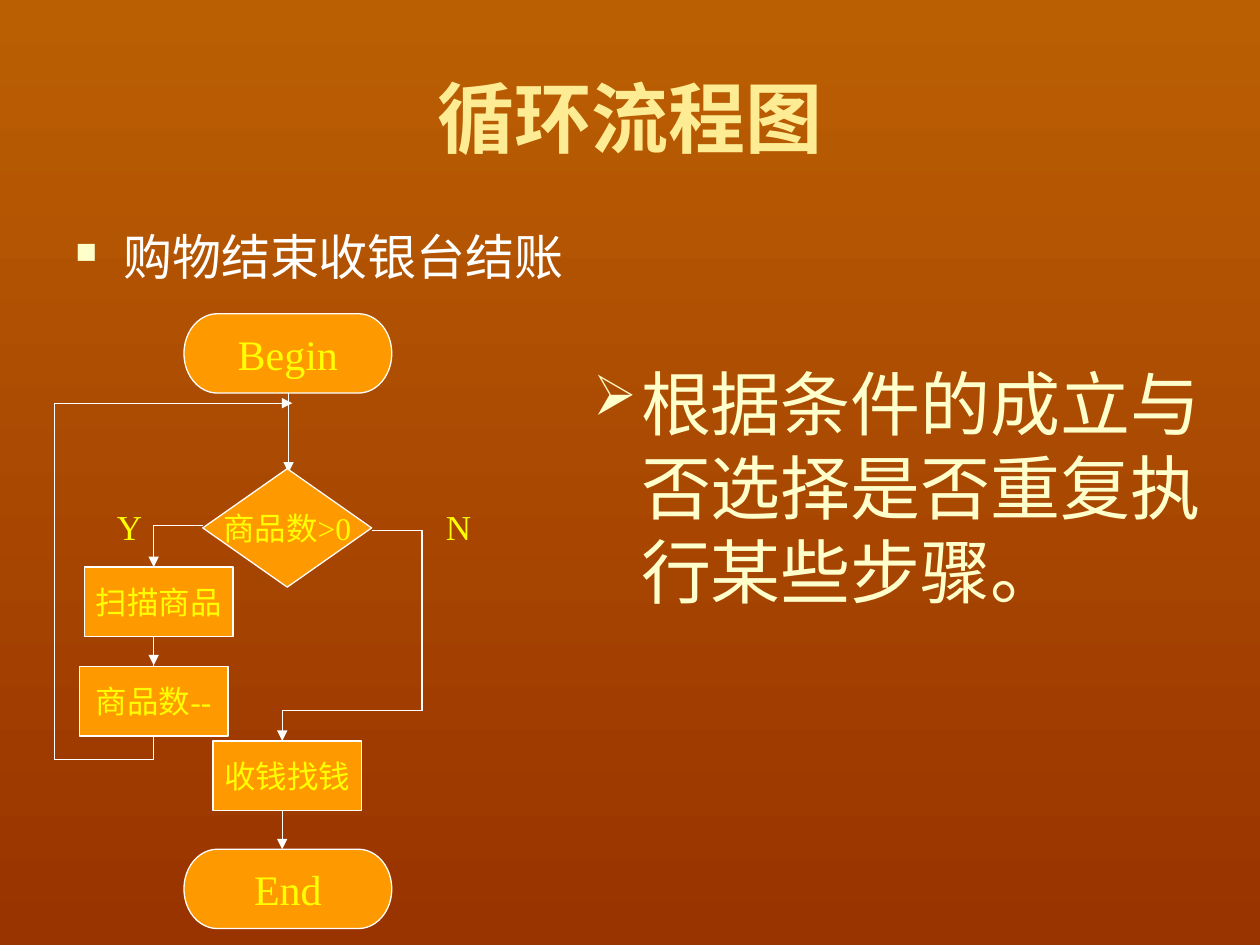
from lxml.etree import SubElement
from pptx import Presentation
from pptx.dml.color import RGBColor
from pptx.enum.shapes import MSO_CONNECTOR, MSO_SHAPE as Shape
from pptx.enum.text import MSO_ANCHOR as Anchor, PP_ALIGN as Align
from pptx.oxml.ns import qn
from pptx.util import Inches, Pt

COLORS = {
    "bg_top": "BB5F03",
    "bg_bottom": "993300",
    "title": "FEEC94",
    "white": "FFFFFF",
    "cream": "FFFFCC",
    "box": "FF9900",
    "label": "FFFF00",
}
SERIF = "Times New Roman"

# Shared positions of the flowchart, in inches
BRANCH_X, EXIT_X, LOOP_X = 1.22, 3.35, 0.43
BEGIN_X, END_X = 2.29, 2.24
STEP_SIZE = (1.18, 0.55)
TERMINAL_SIZE = (1.65, 0.63)


def color(name):
    return RGBColor.from_string(COLORS[name])


def add_bullet(paragraph, char, percent, indent=0.38):
    props = paragraph._p.get_or_add_pPr()
    props.set("marL", str(Inches(indent)))
    props.set("indent", str(-Inches(indent)))
    bullet_color = SubElement(props, qn("a:buClr"))
    SubElement(bullet_color, qn("a:srgbClr"), val=COLORS["cream"])
    SubElement(props, qn("a:buSzPct"), val=str(percent * 1000))
    SubElement(props, qn("a:buChar"), char=char)


def write(frame, text, size=18, font=SERIF, ink="label", bold=False,
          align=Align.CENTER, anchor=Anchor.MIDDLE, wrap=True, bullet=None):
    frame.word_wrap = wrap
    frame.vertical_anchor = anchor
    paragraph = frame.paragraphs[0]
    paragraph.alignment = align
    if bullet:
        add_bullet(paragraph, *bullet)
    run = paragraph.add_run()
    run.text = text
    run.font.size = Pt(size)
    run.font.name = font
    run.font.bold = bold
    run.font.color.rgb = color(ink)


def add_text(slide, place, text, **style):
    box = slide.shapes.add_textbox(*map(Inches, place))
    write(box.text_frame, text, **style)


def add_node(slide, kind, corner, dimensions, text, size=18):
    node = slide.shapes.add_shape(kind, *map(Inches, corner + dimensions))
    node.shadow.inherit = False
    node.fill.solid()
    node.fill.fore_color.rgb = color("box")
    node.line.color.rgb = color("white")
    node.line.width = Pt(0.75)
    write(node.text_frame, text, size=size, wrap=False)


def add_flow(slide, *points, arrow=True):
    """Join the points with straight lines; the last one may carry an arrowhead."""
    segments = list(zip(points, points[1:]))
    for number, (start, end) in enumerate(segments, 1):
        line = slide.shapes.add_connector(
            MSO_CONNECTOR.STRAIGHT, *map(Inches, start + end))
        line.line.color.rgb = color("white")
        line.line.width = Pt(0.75)
        if arrow and number == len(segments):
            SubElement(line.line._get_or_add_ln(), qn("a:tailEnd"), type="triangle")
        SubElement(line._element.spPr, qn("a:effectLst"))


def paint_background(slide):
    fill = slide.background.fill
    fill.gradient()
    fill.gradient_angle = 270
    for stop, name, position in zip(fill.gradient_stops, ("bg_top", "bg_bottom"), (0, 1)):
        stop.color.rgb = color(name)
        stop.position = position


def draw_flows(slide):
    # Entry into the condition
    add_flow(slide, (BEGIN_X, 3.12), (BEGIN_X, 3.75))
    # Yes branch, step by step
    add_flow(slide, (1.61, 4.17), (BRANCH_X, 4.17), (BRANCH_X, 4.5))
    add_flow(slide, (BRANCH_X, 5.05), (BRANCH_X, 5.28))
    # Loop back to the condition
    add_flow(slide, (BRANCH_X, 5.05), (BRANCH_X, 6.03), (LOOP_X, 6.03),
             (LOOP_X, 3.2), (2.32, 3.2))
    # No branch to payment and end
    add_flow(slide, (2.95, 4.21), (EXIT_X, 4.21), (EXIT_X, 5.64),
             (END_X, 5.64), (END_X, 5.88))
    add_flow(slide, (END_X, 6.43), (END_X, 6.74))


def draw_nodes(slide):
    for top, text in ((2.49, "Begin"), (6.74, "End")):
        add_node(slide, Shape.FLOWCHART_TERMINATOR, (1.46, top), TERMINAL_SIZE, text, size=24)
    add_node(slide, Shape.FLOWCHART_DECISION, (1.61, 3.72), (1.34, 0.94), "商品数>0")
    steps = (((0.67, 4.5), "扫描商品"), ((0.63, 5.29), "商品数--"), ((1.69, 5.88), "收钱找钱"))
    for corner, text in steps:
        add_node(slide, Shape.FLOWCHART_PROCESS, corner, STEP_SIZE, text)
    for left, answer in ((0.83, "Y"), (3.44, "N")):
        add_text(slide, (left, 3.96, 0.39, 0.44), answer, size=20, anchor=Anchor.TOP)


def main():
    deck = Presentation()
    deck.slide_width, deck.slide_height = Inches(10), Inches(7.5)
    slide = deck.slides.add_slide(deck.slide_layouts[6])
    paint_background(slide)

    # Heading and topic
    add_text(slide, (0.5, 0.3, 9, 1.25), "循环流程图", size=44, ink="title", bold=True)
    add_text(slide, (0.5, 1.75, 4.46, 0.58), "购物结束收银台结账", size=28, ink="white",
             align=Align.LEFT, anchor=Anchor.TOP, bullet=("■", 60))

    # Flowchart, with the lines behind the boxes
    draw_flows(slide)
    draw_nodes(slide)

    # Explanation
    add_text(slide, (4.61, 2.81, 5.04, 2.59), "根据条件的成立与否选择是否重复执行某些步骤。",
             size=40, font="Arial", ink="cream", align=Align.LEFT, anchor=Anchor.TOP,
             bullet=("➢", 80))

    deck.save("out.pptx")


if __name__ == "__main__":
    main()
